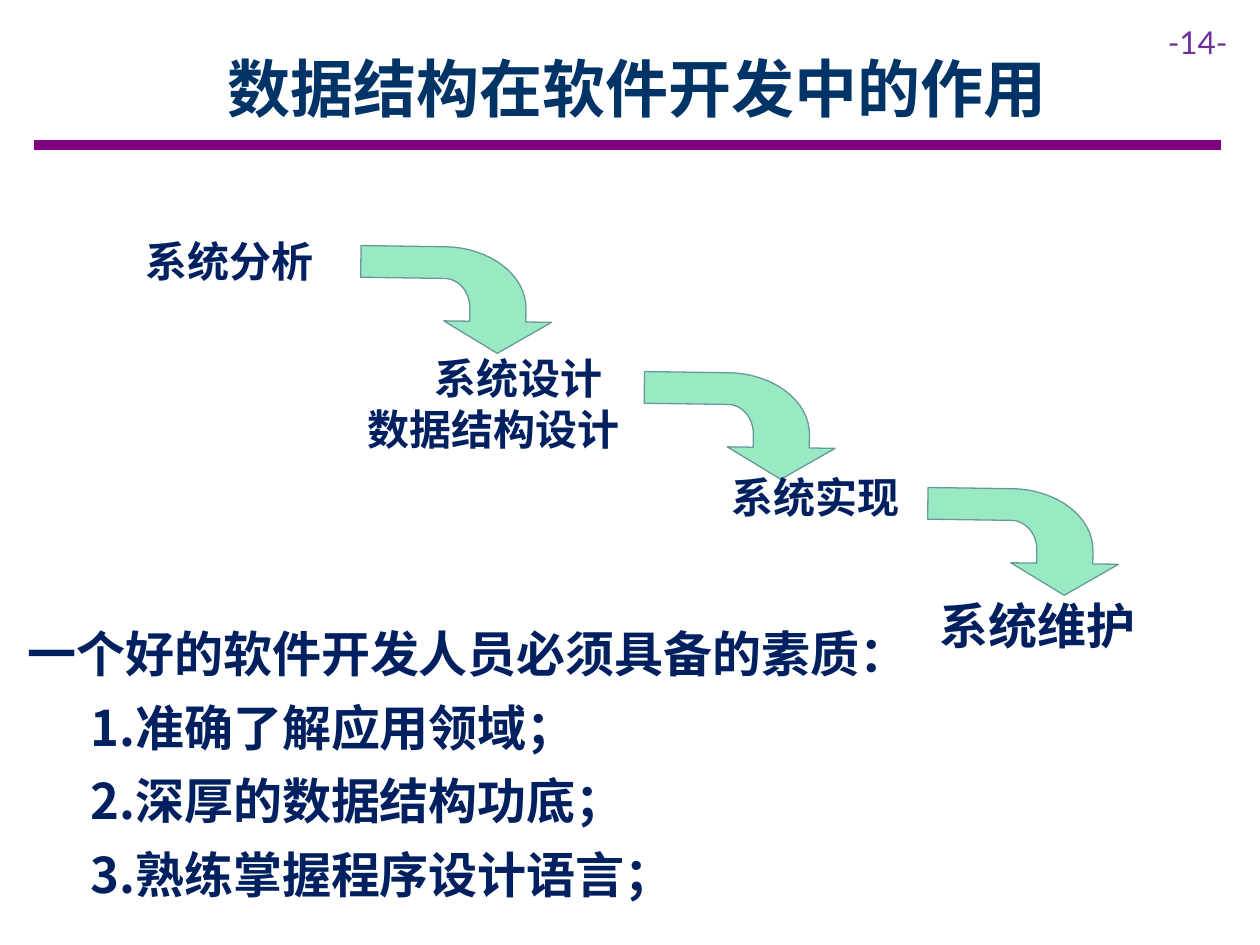
"""Build the slide on the role of data structures in software development."""
from math import cos, pi, sin

from lxml import etree
from pptx import Presentation
from pptx.dml.color import RGBColor
from pptx.enum.shapes import MSO_CONNECTOR
from pptx.enum.text import MSO_ANCHOR, PP_ALIGN
from pptx.oxml.ns import qn
from pptx.util import Inches, Pt

STRAIGHT = MSO_CONNECTOR.STRAIGHT
MIDDLE = MSO_ANCHOR.MIDDLE
CENTER, LEFT = PP_ALIGN.CENTER, PP_ALIGN.LEFT
CJK_FONT = "Noto Sans CJK SC"
NAVY = "002060"
GRID = 21600
ARC_STEPS = 16


def color(value):
    """Turn a hex string into a colour."""
    return RGBColor.from_string(value)


def add_run(paragraph, text, size, font_name, font_color, bold=True):
    """Append a formatted run with Latin and East Asian fonts."""
    run = paragraph.add_run()
    run.text = text
    run.font.size = Pt(size)
    run.font.name = font_name
    run.font.bold = bold
    run.font.color.rgb = color(font_color)
    east_asian = etree.SubElement(run.font._element, qn("a:ea"))
    east_asian.set("typeface", CJK_FONT)


presentation = Presentation()
presentation.slide_width, presentation.slide_height = Inches(10), Inches(7.5)
slide = presentation.slides.add_slide(presentation.slide_layouts[5])

rule = slide.shapes.add_connector(
    STRAIGHT, Inches(0.27), Inches(1.15), Inches(9.69), Inches(1.15))
rule.line.color.rgb = color("800080")
rule.line.width = Pt(6)
etree.SubElement(rule._element.spPr, qn("a:effectLst"))

title = slide.shapes.title
title.left, title.top = Inches(0.9), Inches(0.29)
title.width, title.height = Inches(8.31), Inches(0.81)
title.text_frame.vertical_anchor = MIDDLE
title_paragraph = title.text_frame.paragraphs[0]
title_paragraph.alignment = CENTER
add_run(title_paragraph, "数据结构在软件开发中的作用", 36, CJK_FONT, "003366")

arrow_width, arrow_height = Inches(0.84), Inches(1.52)
angles = [pi / 2 * step / ARC_STEPS for step in range(ARC_STEPS + 1)]
bend_x, bend_y = 12427, 12158
outer_bend = [(bend_x - 12427 * sin(a), bend_y - 9246 * cos(a)) for a in angles]
inner_bend = [(bend_x - 5953 * cos(a), bend_y - 2912 * sin(a)) for a in angles]
outline = [(15126, 0), (15126, 2912), *outer_bend, (0, GRID), (6474, GRID),
           *inner_bend, (15126, 9246), (15126, 12158)]
for left, top in [(3.2, 1.62), (5.45, 2.62), (7.7, 3.54)]:
    builder = slide.shapes.build_freeform(
        GRID, 6079, scale=(arrow_width / GRID, arrow_height / GRID))
    builder.add_line_segments(outline, close=True)
    arrow = builder.convert_to_shape(Inches(left), Inches(top))
    arrow.rotation = 90.8
    arrow.shadow.inherit = False
    arrow.fill.solid()
    arrow.fill.fore_color.rgb = color("99E9C3")
    arrow.line.color.rgb = color("669999")
    arrow.line.width = Pt(0.75)

qualities = [
    "一个好的软件开发人员必须具备的素质：",
    "1.准确了解应用领域；",
    "2.深厚的数据结构功底；",
    "3.熟练掌握程序设计语言；",
]
text_boxes = [
    (9.17, 0.13, 0.83, 0.4, 18, "Lato", "7030A0", ["-14-"]),
    (1.06, 1.82, 2.25, 0.5, 24, "Arial", NAVY, ["系统分析"]),
    (3.35, 2.75, 2.77, 0.5, 24, "Arial", NAVY, ["系统设计"]),
    (2.82, 3.15, 3.91, 0.5, 24, "Arial", NAVY, ["数据结构设计"]),
    (5.71, 3.69, 2.8, 0.5, 24, "Arial", NAVY, ["系统实现"]),
    (7.36, 4.68, 2.92, 0.57, 28, "Arial", NAVY, ["系统维护"]),
    (0.12, 4.9, 7.48, 2.41, 28, CJK_FONT, NAVY, qualities),
]
for left, top, width, height, size, font_name, font_color, lines in text_boxes:
    box = slide.shapes.add_textbox(
        Inches(left), Inches(top), Inches(width), Inches(height))
    frame = box.text_frame
    frame.word_wrap = True
    for index, line in enumerate(lines):
        paragraph = frame.add_paragraph() if index else frame.paragraphs[0]
        paragraph.alignment = LEFT
        if index:
            paragraph.level = 1
            paragraph.space_before = Pt(size * 0.3)
        add_run(paragraph, line, size, font_name, font_color, font_name != "Lato")

presentation.save("out.pptx")
